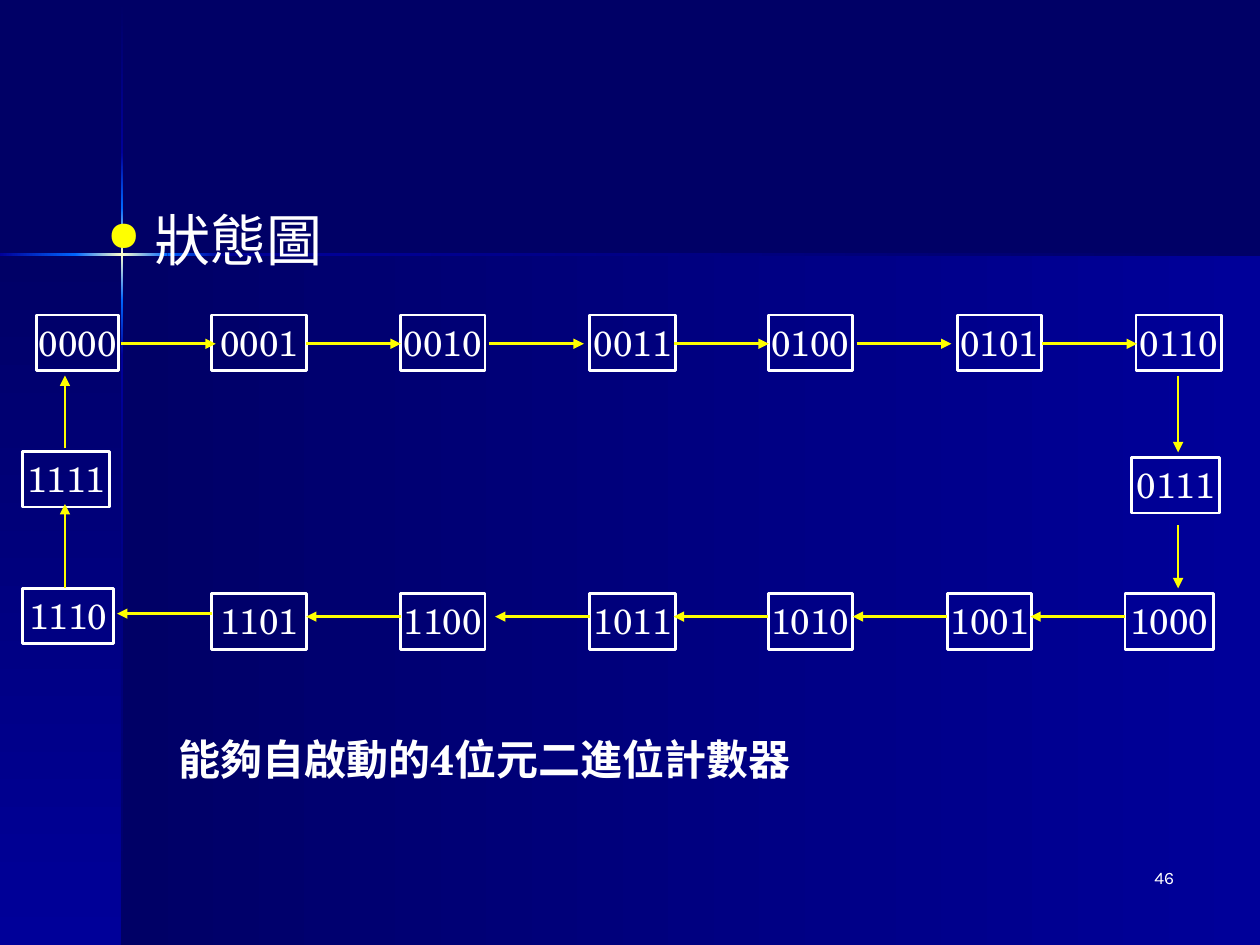
from lxml import etree
from pptx import Presentation
from pptx import util as u
from pptx.dml.color import RGBColor
from pptx.enum import shapes, text
from pptx.oxml import parse_xml
from pptx.oxml.ns import qn

NS = 'xmlns:a="http://schemas.openxmlformats.org/drawingml/2006/main"'
NAVY, BLUE, BRIGHT, CREAM = "000066", "000099", "0066FF", "FFFFCC"
WHITE, YELLOW = "FFFFFF", "FFFF00"
SANS, SERIF = "Karla", "TeX Gyre Schola"
color = RGBColor.from_string


def write(frame, words, size, font, align=None, bold=None):
    paragraph = frame.paragraphs[0]
    paragraph.alignment = align
    run = paragraph.add_run()
    run.text = words
    run.font.size = u.Pt(size)
    run.font.name = font
    run.font.bold = bold
    run.font.color.rgb = color(WHITE)
    return paragraph


prs = Presentation()
prs.slide_width, prs.slide_height = u.Cm(25.4), u.Cm(19.05)
slide = prs.slides.add_slide(prs.slide_layouts[6])
slide.background.fill.solid()
slide.background.fill.fore_color.rgb = color(NAVY)

# Backdrop: two panels, then the glowing cross (left, top, width, height, angle, colours)
backdrop = [
    (2.46, 5.13, 22.94, 13.92, 0, [NAVY, BLUE]),
    (0, 5.13, 2.46, 13.92, 90, [NAVY, BLUE]),
    (2.44, 0.03, 0.05, 3.05, 90, [NAVY, BLUE]),
    (2.44, 7.16, 0.05, 11.89, 90, [BLUE, NAVY]),
    (4.5, 5.11, 20.9, 0.05, 0, [BLUE, NAVY]),
    (2.44, 6.05, 0.05, 1.11, 90, [BRIGHT, BLUE]),
    (2.44, 3.07, 0.05, 1.12, 90, [BLUE, BRIGHT]),
    (2.44, 4.19, 0.05, 1.86, 90, [BRIGHT, CREAM, BRIGHT]),
    (0, 5.11, 1.55, 0.05, 0, [BLUE, BRIGHT]),
    (3.38, 5.11, 1.12, 0.05, 0, [BRIGHT, BLUE]),
    (1.52, 5.11, 1.86, 0.05, 0, [BRIGHT, CREAM, BRIGHT]),
]
for left, top, width, height, angle, shades in backdrop:
    panel = slide.shapes.add_shape(shapes.MSO_SHAPE.RECTANGLE, u.Cm(left), u.Cm(top),
                                   u.Cm(width), u.Cm(height))
    panel.shadow.inherit = False
    panel.line.fill.background()
    stops = "".join(
        f'<a:gs pos="{100000 * i // (len(shades) - 1)}"><a:srgbClr val="{shade}"/></a:gs>'
        for i, shade in enumerate(shades))
    panel._element.spPr.find(qn("a:prstGeom")).addnext(parse_xml(
        f'<a:gradFill {NS} rotWithShape="1"><a:gsLst>{stops}</a:gsLst>'
        f'<a:lin ang="{angle * 60000}" scaled="0"/></a:gradFill>'))

# Heading with a yellow bullet
heading = slide.shapes.add_textbox(u.Cm(1.91), u.Cm(4.01), u.Cm(22.02), u.Cm(12.9)).text_frame
heading.word_wrap = True
bulleted = write(heading, "狀態圖", 32, SANS)._p.get_or_add_pPr()
bulleted.set("marL", str(u.Cm(0.95)))
bulleted.set("indent", str(u.Cm(-0.95)))
bulleted.append(parse_xml(f'<a:buClr {NS}><a:srgbClr val="{YELLOW}"/></a:buClr>'))
bulleted.append(parse_xml(f'<a:buSzPct {NS} val="75000"/>'))
bulleted.append(parse_xml(f'<a:buChar {NS} char="●"/>'))

# Page number
page = slide.shapes.add_textbox(u.Cm(18.64), u.Cm(17.35), u.Cm(5.28), u.Cm(1.27)).text_frame
page.word_wrap = True
write(page, "46", 10, SANS, text.PP_ALIGN.RIGHT)

# Counter states 0 to 15, clockwise from the top left (left, top, width)
upper, lower = 6.35, 11.97
states = [
    (0.74, upper, 1.65), (4.27, upper, 1.91), (8.08, upper, 1.7), (11.89, upper, 1.73),
    (15.49, upper, 1.7), (19.3, upper, 1.7), (22.9, upper, 1.73), (22.81, 9.22, 1.78),
    (22.68, lower, 1.78), (19.1, lower, 1.7), (15.49, lower, 1.7), (11.89, lower, 1.73),
    (8.08, lower, 1.7), (4.27, lower, 1.91), (0.46, 11.86, 1.83), (0.46, 9.1, 1.75),
]
for number, (left, top, width) in enumerate(states):
    state = slide.shapes.add_shape(shapes.MSO_SHAPE.RECTANGLE, u.Cm(left), u.Cm(top),
                                   u.Cm(width), u.Cm(1.12))
    state.shadow.inherit = False
    state.fill.background()
    state.line.color.rgb = color(WHITE)
    state.line.width = u.Pt(1.5)
    frame = state.text_frame
    frame.margin_left = frame.margin_right = 0
    frame.vertical_anchor = text.MSO_ANCHOR.TOP
    frame.auto_size = text.MSO_AUTO_SIZE.SHAPE_TO_FIT_TEXT
    frame.word_wrap = True
    write(frame, f"{number:04b}", 20, SERIF, text.PP_ALIGN.CENTER)

# Transitions (x1, y1, x2, y2)
step = 1.91
transitions = [(x, 6.93, x + step, 6.93) for x in (2.44, 6.17, 9.86, 13.59, 17.27, 21.01)]
transitions += [(23.75, 7.57, 23.75, 9.12), (23.75, 10.59, 23.75, 11.86)]
transitions += [(left, 12.43, left - step, 12.43) for left, _, _ in states[8:13]]
transitions += [(4.27, 12.37, 4.27 - step, 12.37),
                (1.31, 11.86, 1.31, 10.16), (1.31, 9.04, 1.31, 7.57)]
for ends in transitions:
    arrow = slide.shapes.add_connector(shapes.MSO_CONNECTOR.STRAIGHT, *map(u.Cm, ends))
    arrow.line.color.rgb = color(YELLOW)
    arrow.line.width = u.Pt(1.5)
    etree.SubElement(arrow.line._get_or_add_ln(), qn("a:tailEnd"), type="triangle")
    etree.SubElement(arrow._element.spPr, qn("a:effectLst"))

# Caption
caption = slide.shapes.add_textbox(u.Cm(3.35), u.Cm(14.66), u.Cm(17.81), u.Cm(1.27)).text_frame
caption.word_wrap = True
write(caption, "能夠自啟動的4位元二進位計數器", 24, SERIF, bold=True)

prs.save("out.pptx")
